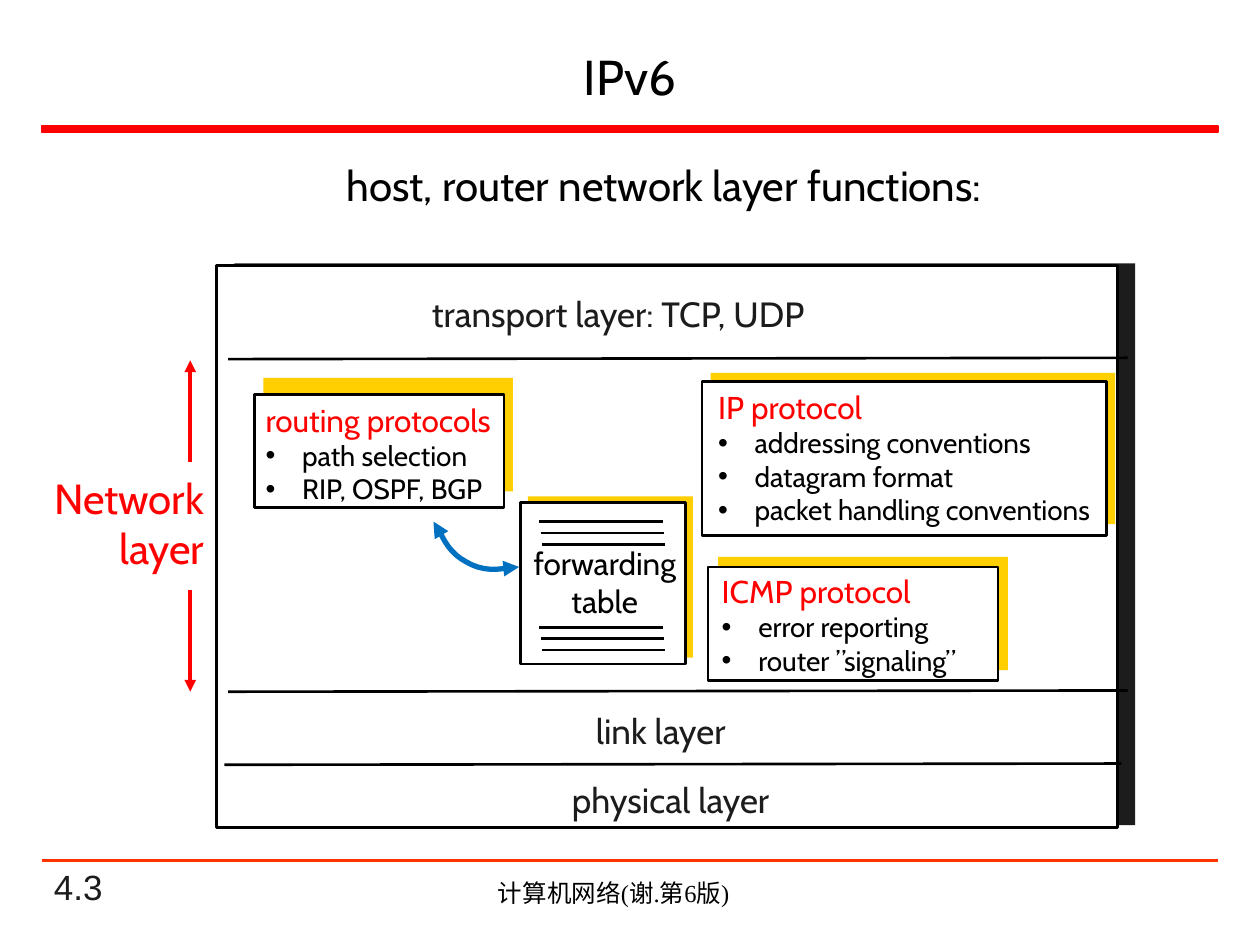
from lxml import etree
from pptx import Presentation
from pptx.dml.color import RGBColor
from pptx.enum.shapes import MSO_CONNECTOR, MSO_SHAPE
from pptx.enum.text import MSO_ANCHOR, PP_ALIGN
from pptx.oxml.ns import qn
from pptx.util import Inches, Pt

RECT, STRAIGHT = MSO_SHAPE.RECTANGLE, MSO_CONNECTOR.STRAIGHT
LEFT, CENTER, RIGHT = PP_ALIGN.LEFT, PP_ALIGN.CENTER, PP_ALIGN.RIGHT
TOP, MIDDLE, BOTTOM = MSO_ANCHOR.TOP, MSO_ANCHOR.MIDDLE, MSO_ANCHOR.BOTTOM
BLACK, WHITE, RED, DARK, YELLOW = "000000", "FFFFFF", "FF0000", "1C1C1C", "FFCF01"
BLUE, ORANGE = "0070C0", "FF3300"
color = RGBColor.from_string

prs = Presentation()
prs.slide_width, prs.slide_height = Inches(10), Inches(7.5)
s = prs.slides.add_slide(prs.slide_layouts[6])


def add_rect(x, y, w, h, fill, line=None, width=1.5):
    sp = s.shapes.add_shape(RECT, Inches(x), Inches(y), Inches(w), Inches(h))
    sp.shadow.inherit = False
    sp.fill.solid()
    sp.fill.fore_color.rgb = color(fill)
    if line:
        sp.line.color.rgb = color(line)
        sp.line.width = Pt(width)
    else:
        sp.line.fill.background()


def add_text(x, y, w, h, lines, size, rgb, align=LEFT, font="Cabin",
             anchor=TOP, wrap=False, bullets=()):
    """Add plain lines, followed by smaller black bulleted lines."""
    tf = s.shapes.add_textbox(Inches(x), Inches(y), Inches(w), Inches(h)).text_frame
    tf.word_wrap = wrap
    tf.vertical_anchor = anchor
    for i, text in enumerate([*lines, *bullets]):
        p = tf.paragraphs[0] if i == 0 else tf.add_paragraph()
        p.alignment = align
        bulleted = i >= len(lines)
        if bulleted:
            pPr = p._p.get_or_add_pPr()
            pPr.set("marL", str(Inches(0.29)))
            pPr.set("indent", str(-Inches(0.29)))
            etree.SubElement(pPr, qn("a:buFont"), typeface="Arial")
            etree.SubElement(pPr, qn("a:buChar"), char="•")
        r = p.add_run()
        r.text = text
        r.font.name = font
        r.font.size = Pt(16 if bulleted else size)
        r.font.color.rgb = color(BLACK if bulleted else rgb)


# Title, subtitle and footer
add_rect(0.33, 1, 9.34, 0.05, RED, RED, 1)
add_text(0.41, 0.28, 9.18, 0.64, ["IPv6"], 28, BLACK, CENTER, anchor=MIDDLE, wrap=True)
add_text(1.48, 1.22, 7.58, 0.5, ["host, router network layer functions:"], 24, BLACK,
         CENTER, wrap=True)
add_text(0.33, 6.92, 2.08, 0.33, ["4.3"], 20, DARK, font="Arial", anchor=BOTTOM, wrap=True)
add_text(2.83, 6.92, 4.08, 0.34, ["计算机网络(谢.第6版)"], 14, BLACK, CENTER,
         font="Times New Roman", wrap=True)

# Protocol stack and the cards inside it, each over an offset backing
add_rect(1.86, 2.09, 7.15, 4.46, DARK)
add_rect(1.72, 2.11, 7.15, 4.46, WHITE, BLACK)
cards = [  # backing, face
    ((4.19, 3.94, 1.31, 1.28), (4.13, 3.99, 1.31, 1.28)),
    ((2.09, 3, 1.98, 0.9), (2.02, 3.13, 1.98, 0.9)),
    ((5.64, 2.96, 3.21, 1.2), (5.57, 3.03, 3.21, 1.22)),
    ((5.7, 4.42, 2.3, 0.9), (5.62, 4.5, 2.3, 0.9)),
]
for backing, face in cards:
    add_rect(*backing, YELLOW)
    add_rect(*face, WHITE, BLACK)

add_text(4.1, 4.27, 1.4, 0.71, ["forwarding", "table"], 18, BLACK, CENTER)
protocols = [
    ((2.01, 3.13, 2.08, 0.94), "routing protocols", ["path selection", "RIP, OSPF, BGP"]),
    ((5.6, 3.03, 3.18, 1.21), "IP protocol",
     ["addressing conventions", "datagram format", "packet handling conventions"]),
    ((5.63, 4.49, 2.26, 0.94), "ICMP protocol", ["error reporting", "router ”signaling”"]),
]
for place, heading, items in protocols:
    add_text(*place, [heading], 18, RED, bullets=items)

layers = [
    ((3.33, 2.27, 3.46, 0.44), "transport layer: TCP, UDP"),
    ((4.63, 5.58, 1.31, 0.44), "link layer"),
    ((4.44, 6.13, 1.87, 0.44), "physical layer"),
]
for place, name in layers:
    add_text(*place, [name], 20, DARK)
add_text(0.28, 3.7, 1.44, 0.91, ["Network", "layer"], 24, RED, RIGHT)

# Straight lines: start, end, colour, width, arrowhead
lines = [
    (0.33, 6.83, 9.67, 6.83, ORANGE, 1.5, False),
    (1.81, 2.85, 8.95, 2.84, BLACK, 1.5, False),
    (1.81, 5.49, 8.95, 5.48, BLACK, 1.5, False),
    (1.78, 6.07, 8.9, 6.06, BLACK, 1.5, False),
    (1.51, 3.67, 1.51, 2.86, RED, 2.25, True),
    (1.51, 4.68, 1.51, 5.49, RED, 2.25, True),
]
for top in (4.14, 4.98):
    for i in range(3):
        x, y = 4.28 + 0.01 * i, top + 0.09 * i
        lines.append((x, y, x + 0.98, y, BLACK, 1.5, False))

arrows = []
for x1, y1, x2, y2, rgb, width, arrow in lines:
    c = s.shapes.add_connector(STRAIGHT, Inches(x1), Inches(y1), Inches(x2), Inches(y2))
    c.line.color.rgb = color(rgb)
    c.line.width = Pt(width)
    etree.SubElement(c._element.spPr, qn("a:effectLst"))
    if arrow:
        arrows.append((c, ["a:tailEnd"]))

# Curved link from the routing protocols to the forwarding table
curves = [
    ((3.44, 4.14), (3.49, 4.17), (3.51, 4.36), (3.7, 4.46)),
    ((3.7, 4.46), (3.89, 4.57), (4.04, 4.49), (4.12, 4.5)),
]
STEPS = 12
points = []
for curve in curves:
    for i in range(1, STEPS + 1):
        t = i / STEPS
        weights = ((1 - t) ** 3, 3 * t * (1 - t) ** 2, 3 * t ** 2 * (1 - t), t ** 3)
        points.append([Inches(sum(k * v for k, v in zip(weights, axis)))
                       for axis in zip(*curve)])
fb = s.shapes.build_freeform(Inches(3.44), Inches(4.14))
fb.add_line_segments(points, close=False)
link = fb.convert_to_shape()
link.shadow.inherit = False
link.fill.background()
link.line.color.rgb = color(BLUE)
link.line.width = Pt(3)
arrows.append((link, ["a:headEnd", "a:tailEnd"]))

for sp, ends in arrows:
    ln = sp._element.spPr.find(qn("a:ln"))
    for end in ends:
        etree.SubElement(ln, qn(end), type="triangle")

prs.save("out.pptx")
